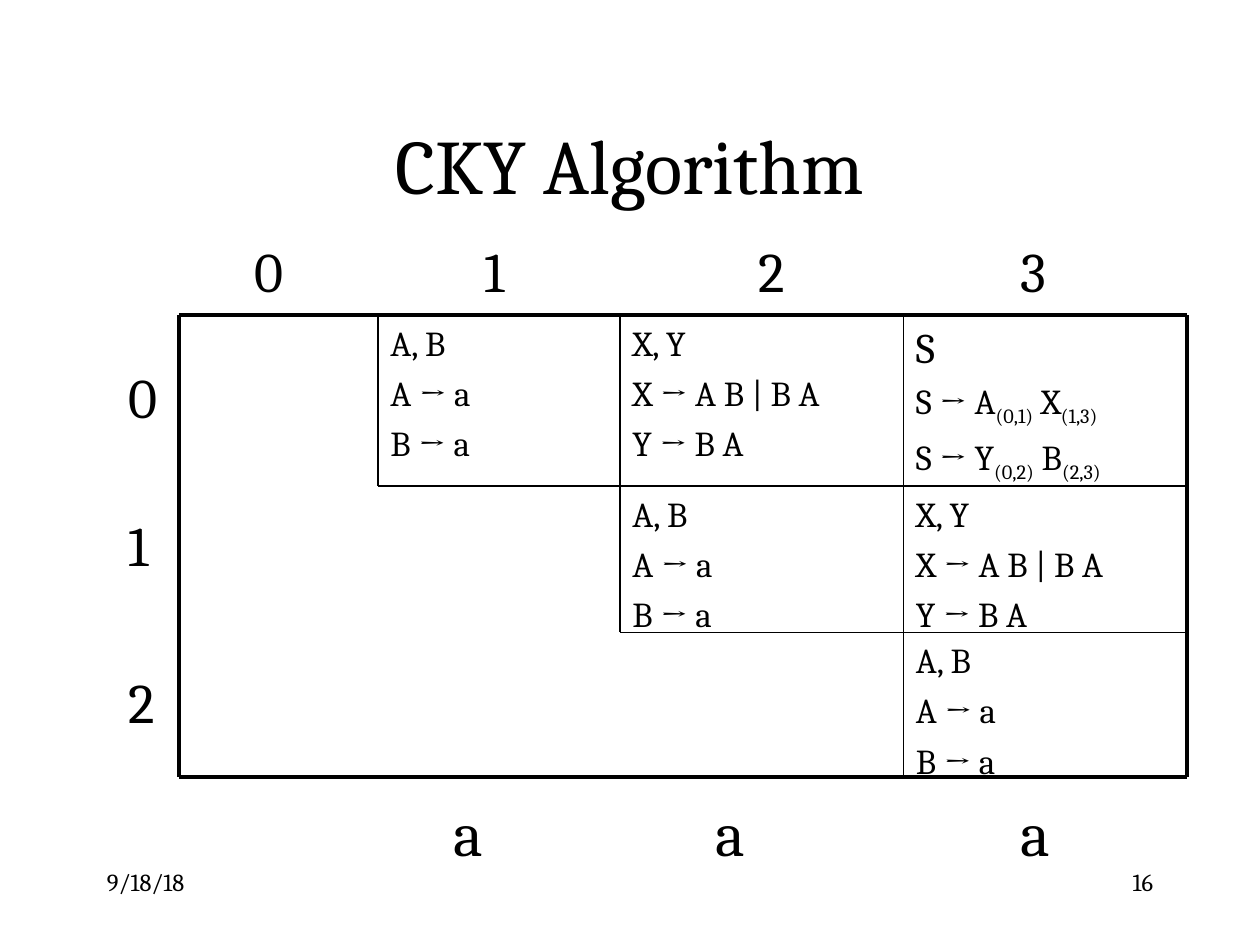
from lxml.etree import SubElement
from pptx import Presentation
from pptx.dml.color import RGBColor
from pptx.enum.shapes import MSO_CONNECTOR as Connector
from pptx.enum.text import MSO_ANCHOR as Anchor, MSO_AUTO_SIZE as AutoSize, PP_ALIGN as Align
from pptx.oxml.ns import qn
from pptx.util import Inches, Pt

FONT = "Cambria"
BLACK = "000000"
COLUMNS = [1.42, 3, 4.92, 7.17, 9.42]
ROWS = [2.5, 3.86, 5.02, 6.17]
THICK, THIN = 2.25, 1

WORD = ["A, B", "A → a", "B → a"]
PAIR = ["X, Y", "X → A B | B A", "Y → B A"]
SENTENCE = ["S", "S → A_(0,1)_ X_(1,3)", "S → Y_(0,2)_ B_(2,3)"]
CHART = {
    (0, 1): WORD, (0, 2): PAIR, (0, 3): SENTENCE,
    (1, 2): WORD, (1, 3): PAIR,
    (2, 3): WORD,
}


def color(value):
    return RGBColor.from_string(value)


def add_text(slide, lines, left, top, width, height, size=20, first_size=None,
             align=Align.LEFT, anchor=Anchor.TOP, space_before=0, wrap=True):
    shape = slide.shapes.add_textbox(Inches(left), Inches(top), Inches(width), Inches(height))
    frame = shape.text_frame
    frame.word_wrap = wrap
    frame.auto_size = AutoSize.NONE if wrap else AutoSize.SHAPE_TO_FIT_TEXT
    frame.vertical_anchor = anchor
    for row, line in enumerate(lines):
        paragraph = frame.add_paragraph() if row else frame.paragraphs[0]
        paragraph.alignment = align
        line_size = size if row or first_size is None else first_size
        paragraph.space_before = Pt(line_size * space_before)
        for index, part in enumerate(line.split("_")):
            if not part:
                continue
            run = paragraph.add_run()
            run.text = part
            run.font.name = FONT
            run.font.size = Pt(line_size)
            run.font.color.rgb = color(BLACK)
            if index % 2:
                run._r.get_or_add_rPr().set("baseline", "-25000")
    return shape


def add_label(slide, text, left, top, size, height):
    add_text(slide, [text], left, top, 0.42, height, size=size, wrap=False)


def add_line(slide, start, end, width):
    points = [Inches(value) for value in (*start, *end)]
    line = slide.shapes.add_connector(Connector.STRAIGHT, *points)
    line.line.color.rgb = color(BLACK)
    line.line.width = Pt(width)
    SubElement(line._element.spPr, qn("a:effectLst"))


def add_cells(slide):
    for (row, column), lines in CHART.items():
        left, top = COLUMNS[column], ROWS[row]
        add_text(slide, lines, left, top, COLUMNS[column + 1] - left, ROWS[row + 1] - top,
                 first_size=24 if lines is SENTENCE else None, space_before=0.235)


def add_grid(slide):
    left, right = COLUMNS[0], COLUMNS[-1]
    top, bottom = ROWS[0], ROWS[-1]
    for y in (top, bottom):
        add_line(slide, (left, y), (right, y), THICK)
    for x in (left, right):
        add_line(slide, (x, top), (x, bottom), THICK)
    for x, y in zip(COLUMNS[1:], ROWS[1:]):
        add_line(slide, (x, top), (x, y), THIN)
        if y < bottom:
            add_line(slide, (x, y), (right, y), THIN)


def add_labels(slide):
    for number, left in enumerate([1.92, 3.75, 5.92, 8]):
        add_label(slide, str(number), left, 1.83, 32, 0.63)
    for number, top in enumerate([2.83, 4, 5.25]):
        add_label(slide, str(number), 0.92, top, 32, 0.63)
    for left in (3.5, 5.58, 8):
        add_label(slide, "a", left, 6.25, 36, 0.7)


def main():
    presentation = Presentation()
    presentation.slide_width = Inches(10)
    presentation.slide_height = Inches(7.5)
    slide = presentation.slides.add_slide(presentation.slide_layouts[6])
    add_text(slide, ["9/18/18"], 0.75, 6.83, 2.08, 0.5, size=14)
    add_text(slide, ["16"], 7.17, 6.83, 2.08, 0.5, size=14, align=Align.RIGHT)
    add_text(slide, ["CKY Algorithm"], 0.75, 0.67, 8.5, 1.25, size=44,
             align=Align.CENTER, anchor=Anchor.MIDDLE)
    add_cells(slide)
    add_grid(slide)
    add_labels(slide)
    presentation.save("out.pptx")


main()
